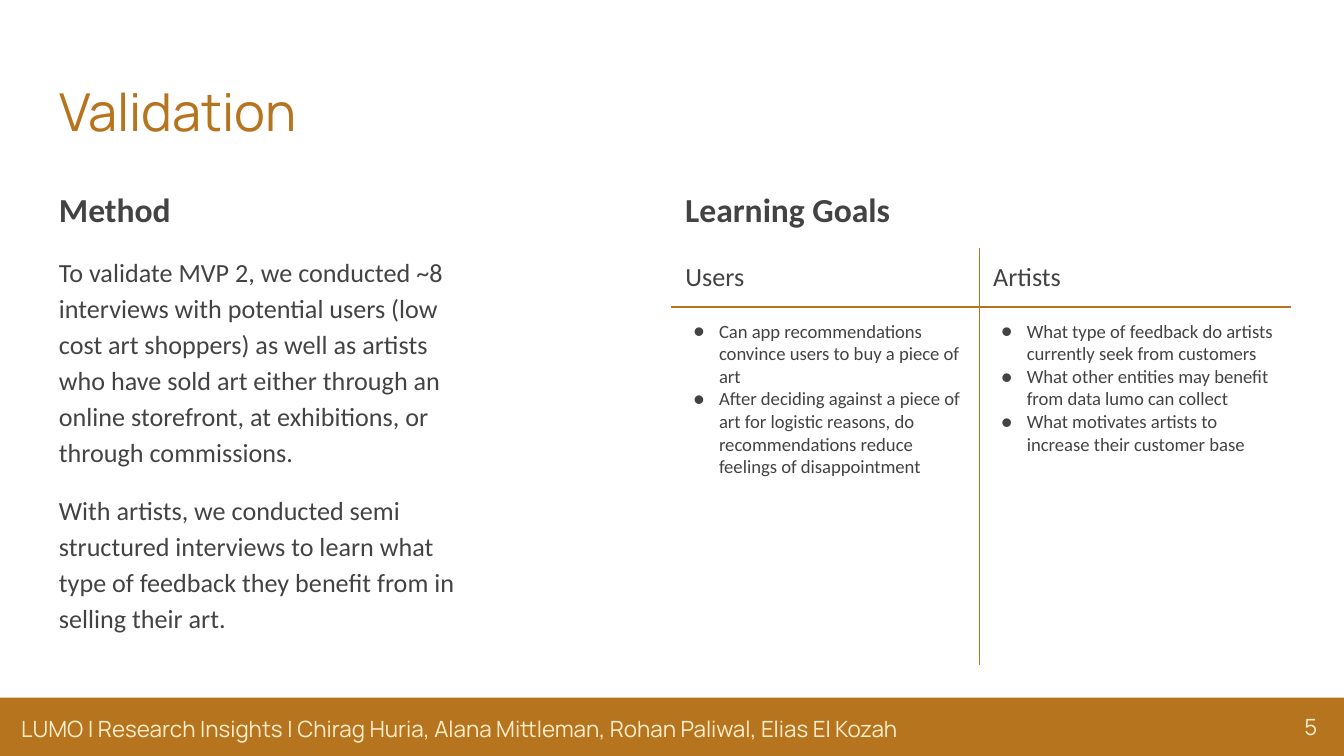
"""Build the Validation slide with its method text and learning goals table."""
from lxml.etree import SubElement
from pptx import Presentation
from pptx.dml.color import RGBColor
from pptx.enum.shapes import MSO_SHAPE
from pptx.enum.text import MSO_ANCHOR, PP_ALIGN
from pptx.oxml.ns import qn
from pptx.util import Inches, Pt

OCHRE = RGBColor(0xB7, 0x74, 0x1E)
CREAM = RGBColor(0xFF, 0xEE, 0xCC)
GRAY = RGBColor(0x43, 0x43, 0x43)
MARGIN = Inches(0.1)


def write(frame, lines, size, font, color, bold=False, spacing=1.0):
    frame.word_wrap = True
    frame.margin_left = frame.margin_right = MARGIN
    frame.margin_top = frame.margin_bottom = MARGIN
    for index, line in enumerate(lines):
        para = frame.add_paragraph() if index else frame.paragraphs[0]
        para.line_spacing = spacing
        para.space_before = para.space_after = Pt(0)
        para.alignment = PP_ALIGN.LEFT
        span = para.add_run()
        span.text = line
        span.font.size = Pt(size)
        span.font.name = font
        span.font.bold = bold
        span.font.color.rgb = color


def add_border(cell, side):
    line = SubElement(cell._tc.get_or_add_tcPr(), qn(f"a:{side}"), w=str(Pt(0.75)))
    fill = SubElement(line, qn("a:solidFill"))
    SubElement(fill, qn("a:srgbClr"), val=str(OCHRE))


deck = Presentation()
deck.slide_width = Inches(10)
deck.slide_height = deck.slide_width * 9 // 16
page = deck.slides.add_slide(deck.slide_layouts[5])

bar_top = Inches(5.19)
bar_height = deck.slide_height - bar_top
bar = page.shapes.add_shape(MSO_SHAPE.RECTANGLE, 0, bar_top, deck.slide_width, bar_height)
bar.shadow.inherit = False
bar.fill.solid()
bar.fill.fore_color.rgb = OCHRE
bar.line.fill.background()

title = page.shapes.title
title.left, title.top = Inches(0.34), Inches(0.49)
title.width, title.height = Inches(2.85), Inches(0.63)
title.text_frame.vertical_anchor = MSO_ANCHOR.TOP
write(title.text_frame, ["Validation"], 28, "Manrope", OCHRE)

footer = page.shapes.add_textbox(Inches(0.06), Inches(5.22), Inches(9.16), Inches(0.41))
credits = "LUMO | Research Insights | Chirag Huria, Alana Mittleman, Rohan Paliwal, Elias El Kozah"
write(footer.text_frame, [credits], 12, "Manrope", CREAM)

number = page.shapes.add_textbox(Inches(9.3), bar_top, Inches(0.6), bar_height)
number.text_frame.vertical_anchor = MSO_ANCHOR.MIDDLE
write(number.text_frame, ["5"], 12, "Manrope", CREAM)
number.text_frame.paragraphs[0].alignment = PP_ALIGN.RIGHT

for heading, left, width in [("Method", 0.34, 4.53), ("Learning Goals", 5, 4.6)]:
    box = page.shapes.add_textbox(Inches(left), Inches(1.26), Inches(width), Inches(3.84))
    write(box.text_frame, [heading], 18, "Calibri", GRAY, bold=True, spacing=1.15)

method = page.shapes.add_textbox(Inches(0.34), Inches(1.77), Inches(3.28), Inches(3.43))
method_lines = [
    "To validate MVP 2, we conducted ~8 interviews with potential users (low cost art shoppers) "
    "as well as artists who have sold art either through an online storefront, at exhibitions, "
    "or through commissions.",
    "With artists, we conducted semi structured interviews to learn what type of feedback they "
    "benefit from in selling their art.",
]
write(method.text_frame, method_lines, 14, "Calibri", GRAY, spacing=1.15)
method.text_frame.paragraphs[1].space_before = Pt(12)
method.text_frame.paragraphs[1].space_after = Pt(12)

goals = [
    ("Users", 2.29, [
        "Can app recommendations convince users to buy a piece of art",
        "After deciding against a piece of art for logistic reasons, do recommendations reduce "
        "feelings of disappointment",
    ]),
    ("Artists", 2.31, [
        "What type of feedback do artists currently seek from customers",
        "What other entities may benefit from data lumo can collect",
        "What motivates artists to increase their customer base",
    ]),
]
table = page.shapes.add_table(5, 2, Inches(5), Inches(1.85), Inches(4.6), Inches(3.09)).table
table.first_row = table.horz_banding = False
for row, height in zip(table.rows, [0.42, 0.42, 0.42, 0.42, 1.41]):
    row.height = Inches(height)

for index, (group, width, questions) in enumerate(goals):
    table.columns[index].width = Inches(width)
    header, body = table.cell(0, index), table.cell(1, index)
    body.merge(table.cell(4, index))
    write(header.text_frame, [group], 14, "Calibri", GRAY)
    write(body.text_frame, questions, 10, "Calibri", GRAY)
    for cell in (header, body):
        cell.margin_left = cell.margin_right = MARGIN
        cell.margin_top = cell.margin_bottom = MARGIN
    for para in body.text_frame.paragraphs:
        settings = para._p.get_or_add_pPr()
        settings.set("marL", str(Inches(0.25)))
        settings.set("indent", str(Inches(-0.19)))
        bullet_color = SubElement(settings, qn("a:buClr"))
        SubElement(bullet_color, qn("a:srgbClr"), val=str(GRAY))
        SubElement(settings, qn("a:buFont"), typeface="Calibri")
        SubElement(settings, qn("a:buChar"), char="●")
    inner_side = "lnL" if index else "lnR"
    for row_index in range(5):
        cell = table.cell(row_index, index)
        add_border(cell, inner_side)
        if row_index == 0:
            add_border(cell, "lnB")
        elif row_index == 1:
            add_border(cell, "lnT")
        cell.fill.background()

deck.save("out.pptx")
